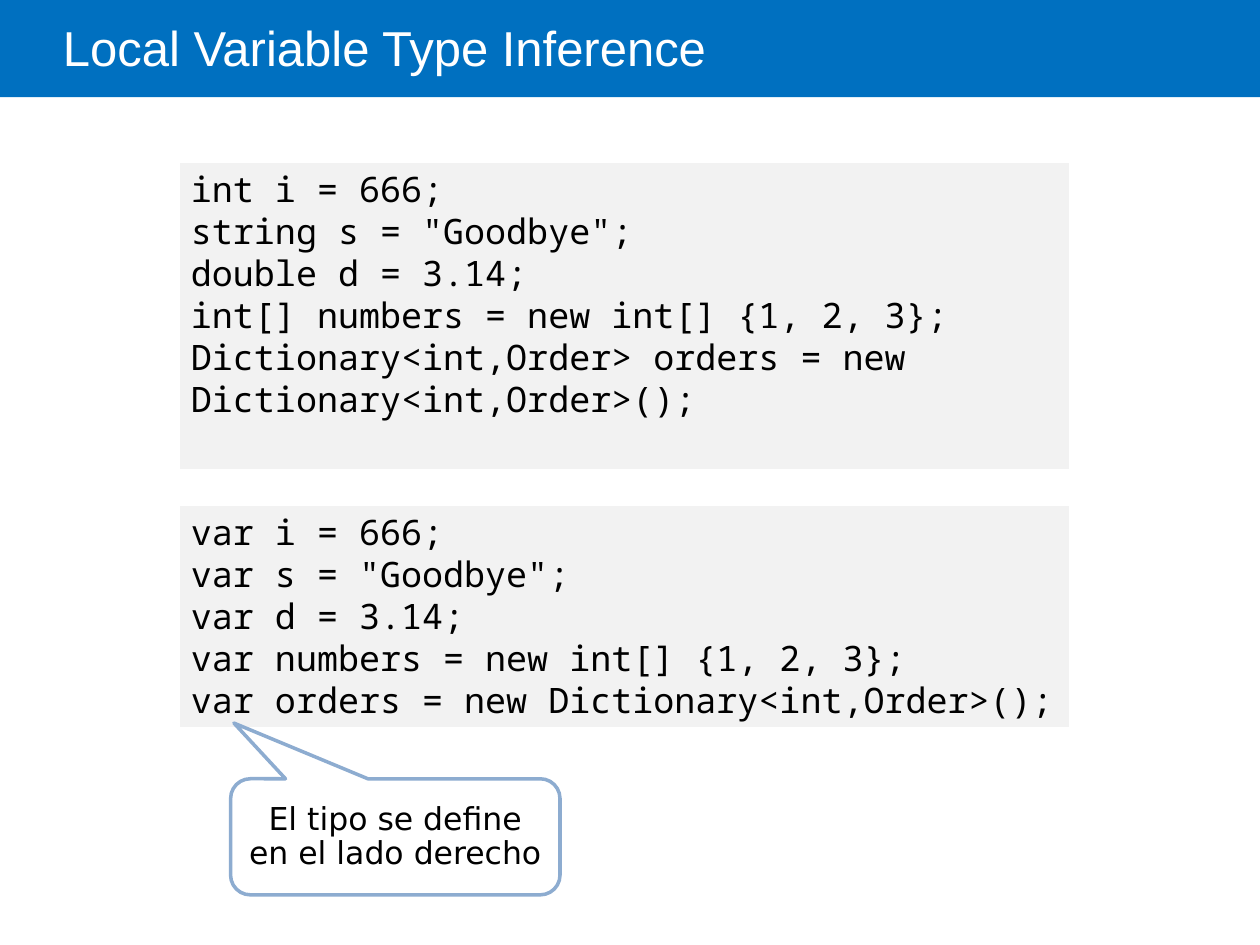
import pptx
import pptx.util
import pptx.dml.color
import pptx.enum.shapes
import pptx.enum.text

Cm = pptx.util.Cm
Pt = pptx.util.Pt
SHAPE = pptx.enum.shapes.MSO_SHAPE
ANCHOR = pptx.enum.text.MSO_ANCHOR
ALIGN = pptx.enum.text.PP_ALIGN

OLD = [
    'int i = 666;',
    'string s = "Goodbye";',
    'double d = 3.14;',
    'int[] numbers = new int[] {1, 2, 3};',
    'Dictionary<int,Order> orders = new Dictionary<int,Order>();',
]
NEW = [
    'var i = 666;',
    'var s = "Goodbye";',
    'var d = 3.14;',
    'var numbers = new int[] {1, 2, 3};',
    'var orders = new Dictionary<int,Order>();',
]


def tint(text):
    """Turn a hex string into a colour."""
    return pptx.dml.color.RGBColor.from_string(text)


def shape(slide, kind, box, fill, line=None):
    """Add a flat preset shape in the box."""
    item = slide.shapes.add_shape(kind, *map(Cm, box))
    item.shadow.inherit = False
    item.fill.solid()
    item.fill.fore_color.rgb = tint(fill)
    if line:
        item.line.color.rgb = tint(line)
        item.line.width = Pt(2)
    else:
        item.line.fill.background()
    return item


def write(frame, lines, font, size, ink, anchor, align=ALIGN.LEFT, space=1.0):
    """Fill a text frame with one paragraph for each line."""
    frame.word_wrap = True
    frame.vertical_anchor = anchor
    for index, line in enumerate(lines):
        para = frame.add_paragraph() if index else frame.paragraphs[0]
        para.alignment = align
        para.line_spacing = space
        run = para.add_run()
        run.text = line
        run.font.name = font
        run.font.size = Pt(size)
        run.font.color.rgb = tint(ink)


def header(slide, box, title):
    """Draw the title band and its text."""
    left, top, width, height = box
    shape(slide, SHAPE.RECTANGLE, box, "0070C0")
    label = slide.shapes.add_textbox(
        Cm(left + 1.27), Cm(top), Cm(width - 3.81), Cm(height + 0.1))
    label.text_frame.margin_left = 0
    write(label.text_frame, [title], "Arial", 28, "FFFFFF",
          ANCHOR.MIDDLE, space=0.85)


def code(slide, box, lines):
    """Draw a grey panel of code."""
    panel = shape(slide, SHAPE.RECTANGLE, box, "F2F2F2", "FFFFFF")
    write(panel.text_frame, lines, "Noto Sans Mono", 20, "000000", ANCHOR.TOP)


def callout(slide, box, text):
    """Draw a speech bubble that points up to the code."""
    bubble = shape(slide, SHAPE.ROUNDED_RECTANGULAR_CALLOUT, box,
                   "FFFFFF", "8DACD0")
    for index, value in enumerate((-0.49, -0.98, 0.17)):
        bubble.adjustments[index] = value
    write(bubble.text_frame, [text], "DejaVu Sans", 18, "000000",
          ANCHOR.MIDDLE, ALIGN.CENTER, 0.9)


def main():
    """Build and save the slide."""
    deck = pptx.Presentation()
    deck.slide_width, deck.slide_height = Cm(25.4), Cm(19.05)
    slide = deck.slides.add_slide(deck.slide_layouts[6])
    header(slide, (0, 0, 25.4, 1.96), "Local Variable Type Inference")
    code(slide, (3.6, 3.25, 17.98, 6.25), OLD)
    code(slide, (3.6, 10.16, 17.98, 4.53), NEW)
    callout(slide, (4.65, 15.7, 6.64, 2.34),
            "El tipo se define en el lado derecho")
    deck.save("out.pptx")


if __name__ == "__main__":
    main()
